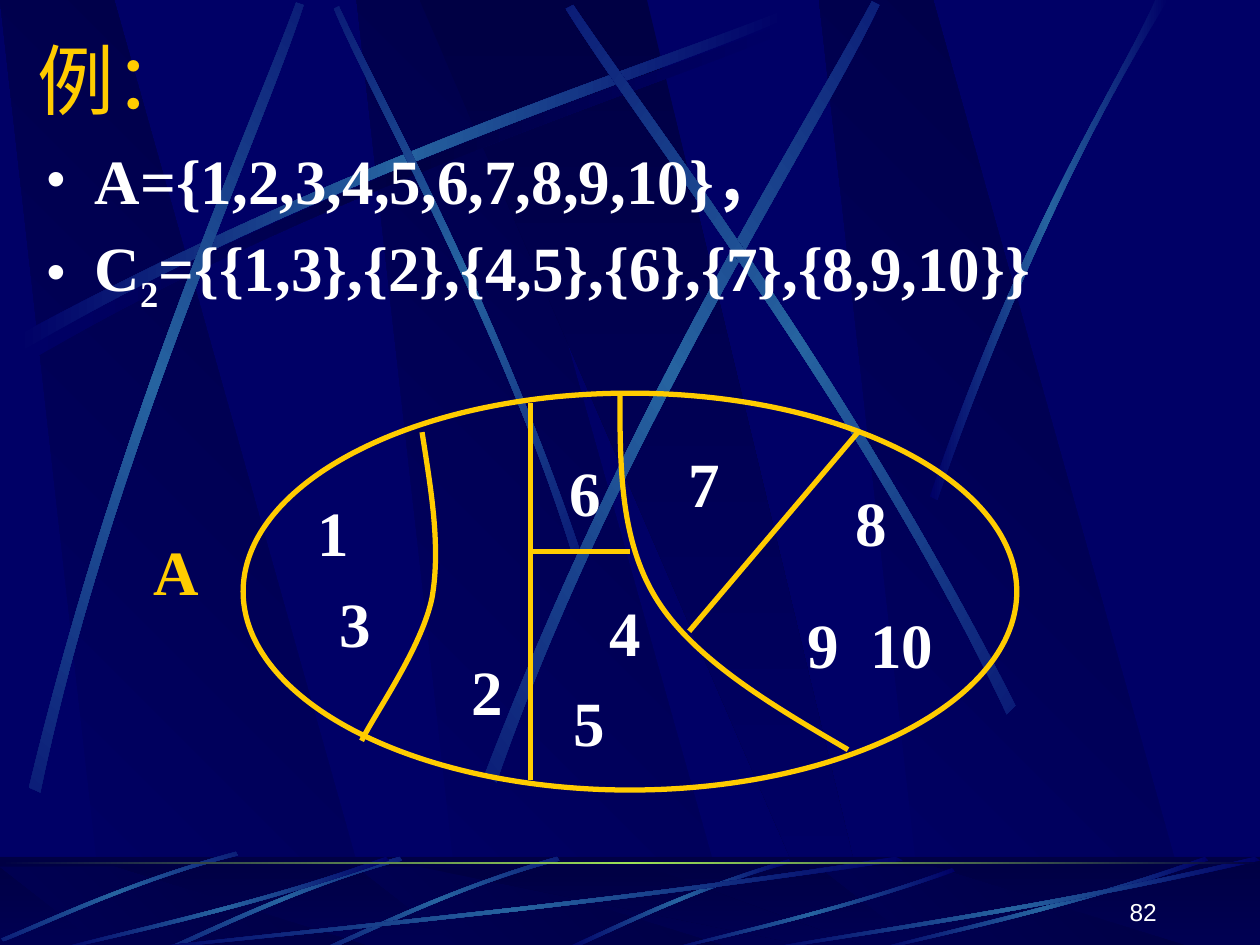
from math import cos, radians, sin
from lxml.etree import SubElement
from pptx import Presentation
from pptx.dml.color import RGBColor
from pptx.enum.shapes import MSO_CONNECTOR, MSO_SHAPE
from pptx.enum.text import MSO_ANCHOR, MSO_AUTO_SIZE, PP_ALIGN
from pptx.oxml import parse_xml
from pptx.oxml.ns import nsdecls, qn
from pptx.util import Cm, Pt

COLORS = {"navy": "000066", "night": "000044", "beam": "2663A0",
          "green": "9CE157", "gold": "FFCC00", "white": "FFFFFF"}
SERIF = {"name": "Times New Roman", "size": Pt(36), "bold": True}
LABEL = {"line_spacing": 1.2, "space_before": Pt(0)}
GLOW = ("navy", "beam", "navy")
SHADE = ("navy", "night", "navy")
PANEL = [(0.28, 1), (1, 1), (0.3, 0), (0, 0)]
FAN = [(0, 0), (0.9, 1), (1, 1), (0.5, 0)]
BEAM = [(0, 0.96), (0.43, 0.43), (0.83, 0.15), (0.99, 0),
        (1, 0.02), (0.83, 0.19), (0.38, 0.5), (0.01, 1)]
SWEEP = [(1, 0.04), (0.57, 0.57), (0.18, 0.85), (0.01, 1),
         (0, 0.99), (0.17, 0.81), (0.61, 0.5), (0.99, 0)]
BLADE = [(0.99, 0), (0.53, 0.33), (0.16, 0.8), (0, 0.97),
         (0.01, 1), (0.17, 0.84), (0.58, 0.31), (1, 0.04)]
STREAKS = {
    45: [(4.6, 4.36), (3.91, 2.34), (3.02, 0.77), (2.69, 0.05),
         (2.65, 0.07), (2.95, 0.79), (3.98, 2.58), (4.54, 4.39)],
    311.7: [(0.23, 6.25), (0.93, 3.34), (1.97, 1.05), (2.35, 0.02),
            (2.41, 0.04), (2.07, 1.09), (0.86, 3.68), (0.32, 6.29)],
    321.6: [(3.85, 6.14), (4.98, 3.2), (6.38, 1.02), (6.92, 0.01),
            (6.98, 0.04), (6.49, 1.08), (4.86, 3.55), (3.94, 6.21)],
    34.7: [(8.06, 5.6), (6.7, 2.93), (5.16, 0.95), (4.55, 0.04),
           (4.49, 0.07), (5.07, 1.01), (6.85, 3.25), (7.99, 5.67)],
    0: [(7.38, 3.94), (8.14, 1.73), (8.88, 0.66), (9.17, 0),
        (9.27, 0), (8.36, 1.45), (7.69, 3.22), (7.44, 3.97)]}
LEFT_ARC = [(3.35, 3.43), (3.42, 3.88), (3.5, 4.33), (3.43, 4.74),
            (3.35, 5.14), (2.97, 5.67), (2.87, 5.88)]
RIGHT_ARC = [(4.92, 3.12), (4.92, 3.71), (4.92, 4.3), (5.22, 4.77),
             (5.52, 5.24), (6.13, 5.6), (6.73, 5.95)]
WHOLE = (0, 0, 1, 1)


def grid(*units):
    """Turn grid units of 2.54 cm into lengths."""
    return [Cm(2.54 * u) for u in units]


def color(key):
    """Look up a named colour."""
    return RGBColor.from_string(COLORS[key])


def assign(obj, values):
    """Set each attribute of obj from a dict."""
    for key, value in values.items():
        setattr(obj, key, value)


def turn(point, angle):
    """Rotate a point clockwise about the origin."""
    a = radians(angle)
    x, y = point
    return x * cos(a) - y * sin(a), x * sin(a) + y * cos(a)


def unturn(points, angle):
    """Return the points as they lie before the shape is rotated."""
    flat = [turn(pt, -angle) for pt in points]
    mid = [(min(axis) + max(axis)) / 2 for axis in zip(*flat)]
    centre = turn(mid, angle)
    return [(x - mid[0] + centre[0], y - mid[1] + centre[1]) for x, y in flat]


def paint(sp, keys, angle=0):
    """Fill a borderless shape with one colour or an even gradient."""
    sp.shadow.inherit = False
    sp.line.fill.background()
    if len(keys) == 1:
        sp.fill.solid()
        sp.fill.fore_color.rgb = color(keys[0])
        return
    sp.fill.gradient()
    grad = sp._element.spPr.find(qn("a:gradFill"))
    grad.find(qn("a:lin")).set("ang", str(angle * 60000))
    stops = grad.find(qn("a:gsLst"))
    stops.clear()
    for i, key in enumerate(keys):
        gs = SubElement(stops, qn("a:gs"), pos=str(100000 * i // (len(keys) - 1)))
        SubElement(gs, qn("a:srgbClr"), val=COLORS[key])


def outline(shapes, points, close, curves=()):
    """Draw a freeform, with a cubic curve at each listed segment."""
    points = [grid(*pt) for pt in points]
    fb = shapes.build_freeform(*points[0], scale=1.0)
    fb.add_line_segments(points[1:], close=close)
    sp = fb.convert_to_shape()
    lines = list(sp._element.spPr.iter(qn("a:lnTo")))
    for i in curves:
        curve = parse_xml(f"<a:cubicBezTo {nsdecls('a')}/>")
        lines[i].addprevious(curve)
        for line in lines[i:i + 3]:
            curve.append(line[0])
            line.getparent().remove(line)
    return sp


def area(shapes, box, points, keys, angle=0, curves=(), rotation=0):
    """Draw a filled outline whose unit points are fitted to a box."""
    x, y, w, h = box
    fitted = [(x + px * w, y + py * h) for px, py in points]
    sp = outline(shapes, unturn(fitted, rotation), True, curves)
    sp.rotation = rotation
    paint(sp, keys, angle)


def band(shapes, box, points, keys=GLOW, rotation=0):
    """Draw a tapered band between two curved edges."""
    area(shapes, box, points, keys, curves=(0, 4), rotation=rotation)


def rect(shapes, box, keys, angle=0):
    """Draw a filled rectangle."""
    sp = shapes.add_shape(MSO_SHAPE.RECTANGLE, *grid(*box))
    paint(sp, keys, angle)
    return sp


def panels(shapes, top, height):
    """Draw the slanted panels and the fan."""
    for x in (2.83, 0, 6.5):
        area(shapes, (x, top, 3.02, height), PANEL, ("navy", "night"), 315)
    area(shapes, (3.33, top, 3.61, height), FAN, ("night", "navy"), 90)


def backdrop(s):
    """Draw the background beams and the floor behind the content."""
    s.background.fill.solid()
    s.background.fill.fore_color.rgb = color("navy")
    group = s.shapes.add_group_shape()
    shapes = group.shapes
    panels(shapes, 0, 7.52)
    band(shapes, (0.2, 0.18, 6.09, 2.67), BEAM, SHADE)
    band(shapes, (0.14, 0.1, 6.09, 2.67), BEAM)
    for rotation, points in STREAKS.items():
        band(shapes, WHOLE, points, rotation=rotation)
    floor = (0, 6.8, 10, 0.75)
    rect(shapes, floor, ("night", "navy"), 90)
    panels(shapes, 6.88, 0.66)
    veil = rect(shapes, floor, ("night",))
    tint = veil._element.spPr.find(qn("a:solidFill"))[0]
    SubElement(tint, qn("a:alpha"), val="50000")
    band(shapes, (4.48, 6.82, 1.8, 0.73), BLADE)
    for x, y, h in ((2.56, 6.8, 0.75), (1.31, 6.8, 0.75), (0.01, 6.76, 0.71)):
        band(shapes, (x, y, 1.88, h), BLADE, rotation=315)
    for x, y, w in ((1, 6.8, 6.17), (0.42, 6.8, 2.67), (5.27, 6.89, 2.31),
                    (6.92, 6.8, 2.67), (6, 6.8, 4)):
        band(shapes, (x, y, w, 7.55 - y), SWEEP)
    rect(shapes, (0, 6.84, 10, 0.02), ("night", "green", "night"))
    s.shapes._spTree.insert(2, group._element)


def write(p, text, font, key):
    """Add a formatted run to a paragraph."""
    r = p.add_run()
    r.text = text
    assign(r.font, font)
    r.font.color.rgb = color(key)
    return r


def place(sp, box):
    """Move and size a shape."""
    assign(sp, dict(zip(("left", "top", "width", "height"), grid(*box))))


def title(sp, text):
    """Fill the title placeholder."""
    place(sp, (0.2, 0.21, 8.5, 0.83))
    assign(sp.text_frame, {"vertical_anchor": MSO_ANCHOR.MIDDLE,
                           "auto_size": MSO_AUTO_SIZE.NONE})
    p = sp.text_frame.paragraphs[0]
    p.alignment = PP_ALIGN.LEFT
    write(p, text, {"name": "Montserrat", "size": Pt(44)}, "gold")


def body(sp, items):
    """Fill the body placeholder with bullets made of (text, baseline) runs."""
    place(sp, (0.27, 1.07, 9.53, 5.59))
    tf = sp.text_frame
    tf.auto_size = MSO_AUTO_SIZE.NONE
    for i, runs in enumerate(items):
        p = tf.add_paragraph() if i else tf.paragraphs[0]
        p.space_before = Pt(7 if i else 0)
        pPr = p._p.get_or_add_pPr()
        pPr.set("marL", str(Cm(0.97)))
        pPr.set("indent", str(Cm(-0.97)))
        SubElement(pPr, qn("a:buSzPct"), val="85000")
        SubElement(pPr, qn("a:buChar"), char="•")
        for text, baseline in runs:
            r = write(p, text, SERIF, "white")
            if baseline:
                r._r.get_or_add_rPr().set("baseline", str(baseline))


def label(s, box, lines, key="white"):
    """Add a label box of (text, indent) lines."""
    tf = s.shapes.add_textbox(*grid(*box)).text_frame
    tf.word_wrap = True
    for i, (text, indent) in enumerate(lines):
        p = tf.add_paragraph() if i else tf.paragraphs[0]
        assign(p, LABEL)
        p._p.get_or_add_pPr().set("indent", str(Cm(2.54 * indent)))
        write(p, text, SERIF, key)
    return tf


def stroke(sp):
    """Give a shape the gold line."""
    sp.line.color.rgb = color("gold")
    sp.line.width = Pt(3)


def partition(s):
    """Draw the set and the lines that divide it."""
    oval = s.shapes.add_shape(MSO_SHAPE.OVAL, *grid(1.93, 3.12, 6.14, 3.15))
    arcs = [outline(s.shapes, arc, False, (0, 3)) for arc in (LEFT_ARC, RIGHT_ARC)]
    for sp in (oval, *arcs):
        sp.shadow.inherit = False
        sp.fill.background()
        stroke(sp)
    for ends in ((4.21, 3.2, 4.21, 6.19), (4.21, 4.38, 5, 4.38), (6.81, 3.43, 5.47, 5.01)):
        line = s.shapes.add_connector(MSO_CONNECTOR.STRAIGHT, *grid(*ends))
        stroke(line)
        SubElement(line._element.spPr, qn("a:effectLst"))


def main():
    """Build the slide and save it."""
    prs = Presentation()
    assign(prs, {"slide_width": Cm(25.4), "slide_height": Cm(19.05)})
    s = prs.slides.add_slide(prs.slide_layouts[1])
    backdrop(s)
    title(s.shapes.title, "例：")
    body(s.placeholders[1], [
        [("A={1,2,3,4,5,6,7,8,9,10}，", 0)],
        [("C", 0), ("2", -25000), ("={{1,3},{2},{4,5},{6},{7},{8,9,10}}", 0)]])
    partition(s)
    label(s, (2.09, 3.75, 1.34, 1.54), [("1", 0.33), ("3", 0.51)])
    label(s, (4.45, 4.54, 0.94, 1.54), [("4 5", 0.29)])
    cell = label(s, (6.02, 3.67, 1.73, 1.84), [("8", 0.67), ("9  10", 0.29)])
    cell.paragraphs[1].space_before = Pt(18)
    for text, box in (("2", (3.35, 5.01, 0.71, 0.82)), ("6", (4.13, 3.43, 0.95, 0.82)),
                      ("7", (5.08, 3.36, 1.1, 0.82))):
        label(s, box, [(text, 0.29)])
    label(s, (0.83, 4.06, 1.18, 0.82), [("A", 0.29)], "gold")
    tf = s.shapes.add_textbox(*grid(7.2, 6.9, 2.08, 0.5)).text_frame
    assign(tf, {"word_wrap": True, "vertical_anchor": MSO_ANCHOR.BOTTOM})
    tf.paragraphs[0].alignment = PP_ALIGN.RIGHT
    write(tf.paragraphs[0], "82", {"name": "Arial", "size": Pt(14)}, "white")
    prs.save("out.pptx")


if __name__ == "__main__":
    main()
